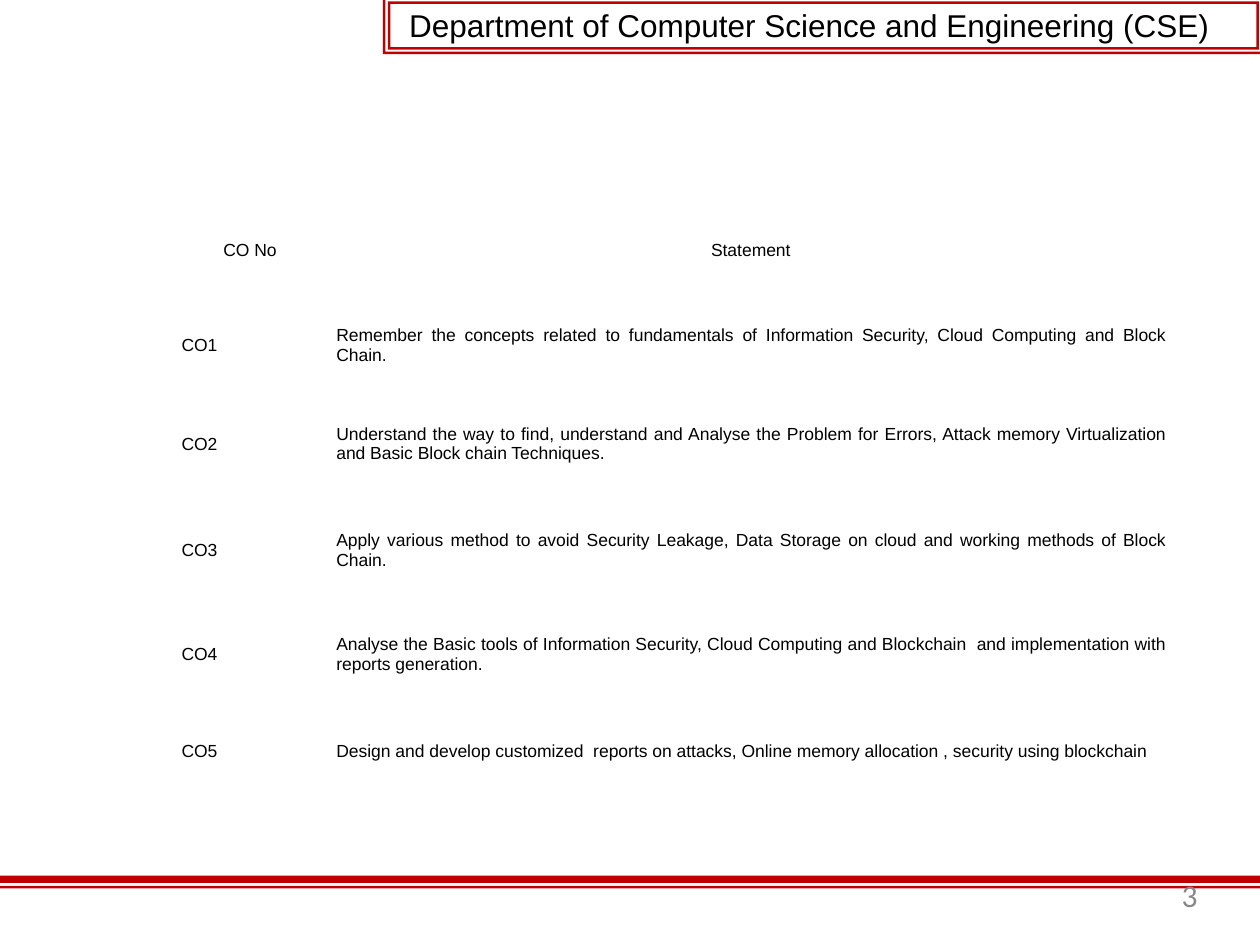
from pptx import Presentation
from pptx.dml.color import RGBColor
from pptx.enum.text import MSO_ANCHOR, PP_ALIGN
from pptx.util import Cm, Pt

LEFT, CENTER, RIGHT, JUSTIFY = PP_ALIGN.LEFT, PP_ALIGN.CENTER, PP_ALIGN.RIGHT, PP_ALIGN.JUSTIFY
MIDDLE = MSO_ANCHOR.MIDDLE

COLORS = {"red": "C00000", "black": "000000", "gray": "888888"}
WIDTH, HEIGHT = 25.4, 19.05
COLUMN_WIDTHS = (3.12, 17.07)
ROW_HEIGHTS = (2.06, 1.78, 2.21, 2.08, 2.11, 1.78)
HEADINGS = ("CO No", "Statement")
STATEMENTS = (
    "Remember the concepts related to fundamentals of Information Security, "
    "Cloud Computing and Block Chain.",
    "Understand the way to find, understand and Analyse the Problem for Errors, "
    "Attack memory Virtualization and Basic Block chain Techniques.",
    "Apply various method to avoid Security Leakage, Data Storage on cloud "
    "and working methods of Block Chain.",
    "Analyse the Basic tools of Information Security, Cloud Computing and Blockchain  "
    "and implementation with reports generation.",
    "Design and develop customized  reports on attacks, Online memory allocation , "
    "security using blockchain",
)


def rectangle(left, top, right, bottom):
    """Return the corners of a rectangle, clockwise."""
    return [(left, top), (right, top), (right, bottom), (left, bottom)]


def add_outline(page, contours):
    """Draw closed contours, given in centimetres, as one red shape."""
    builder = None
    for contour in contours:
        start, *others = [(Cm(x), Cm(y)) for x, y in contour]
        if builder is None:
            builder = page.shapes.build_freeform(*start, scale=1.0)
        else:
            builder.move_to(*start)
        builder.add_line_segments(others, close=True)
    shape = builder.convert_to_shape()
    shape.shadow.inherit = False
    shape.fill.solid()
    shape.fill.fore_color.rgb = RGBColor.from_string(COLORS["red"])
    shape.line.fill.background()


def write(para, text, size, font, color, align):
    """Add one formatted run to a paragraph."""
    para.alignment = align
    span = para.add_run()
    span.text = text
    span.font.size = Pt(size)
    span.font.name = font
    span.font.color.rgb = RGBColor.from_string(COLORS[color])


def add_text(page, place, margins, text, font, color, align, indent=0):
    """Add a text box holding one line of 18 point text."""
    frame = page.shapes.add_textbox(*map(Cm, place)).text_frame
    frame.word_wrap = True
    frame.margin_left = frame.margin_right = Cm(margins[0])
    frame.margin_top = frame.margin_bottom = Cm(margins[1])
    para = frame.paragraphs[0]
    if indent:
        properties = para._p.get_or_add_pPr()
        properties.set("marL", str(Cm(indent)))
        properties.set("indent", "0")
    write(para, text, 18, font, color, align)


def add_outcomes(page):
    """Add the table of course outcomes."""
    rows = [HEADINGS] + [(f"CO{n}", text) for n, text in enumerate(STATEMENTS, 1)]
    table = page.shapes.add_table(
        len(rows), len(HEADINGS), Cm(3.48), Cm(4.01),
        Cm(sum(COLUMN_WIDTHS)), Cm(sum(ROW_HEIGHTS))).table
    table.first_row = table.horz_banding = False
    for column, width in zip(table.columns, COLUMN_WIDTHS):
        column.width = Cm(width)
    for r, (texts, height) in enumerate(zip(rows, ROW_HEIGHTS)):
        table.rows[r].height = Cm(height)
        for c, text in enumerate(texts):
            cell = table.cell(r, c)
            cell.fill.background()
            cell.vertical_anchor = MIDDLE
            cell.margin_left = cell.margin_right = Cm(0.18)
            cell.margin_top = cell.margin_bottom = 0
            write(cell.text_frame.paragraphs[0], text, 10, "Arial", "black",
                  JUSTIFY if r else CENTER)


def main():
    """Build and save the slide."""
    deck = Presentation()
    deck.slide_width, deck.slide_height = Cm(WIDTH), Cm(HEIGHT)
    page = deck.slides.add_slide(deck.slide_layouts[6])

    add_outline(page, [rectangle(0, 17.86, WIDTH, 17.91),
                       rectangle(0, 17.65, WIDTH, 17.8)])
    corner = [(7.72, 0), (7.77, 0), (7.77, 1.04), (WIDTH, 1.04), (WIDTH, 1.09), (7.72, 1.09)]
    add_outline(page, [rectangle(7.82, 0.03, 25.38, 1),
                       rectangle(7.87, 0.08, 25.33, 0.95)[::-1],
                       corner])

    add_text(page, (18.42, 17.65, 5.72, 1.02), (0, 0), "3", "Calibri", "gray", RIGHT)
    add_text(page, (6.45, 0, 18.95, 1.02), (0.25, 0.13),
             "Department of Computer Science and Engineering (CSE)",
             "Arial", "black", LEFT, indent=1.55)
    add_outcomes(page)
    deck.save("out.pptx")


if __name__ == "__main__":
    main()
